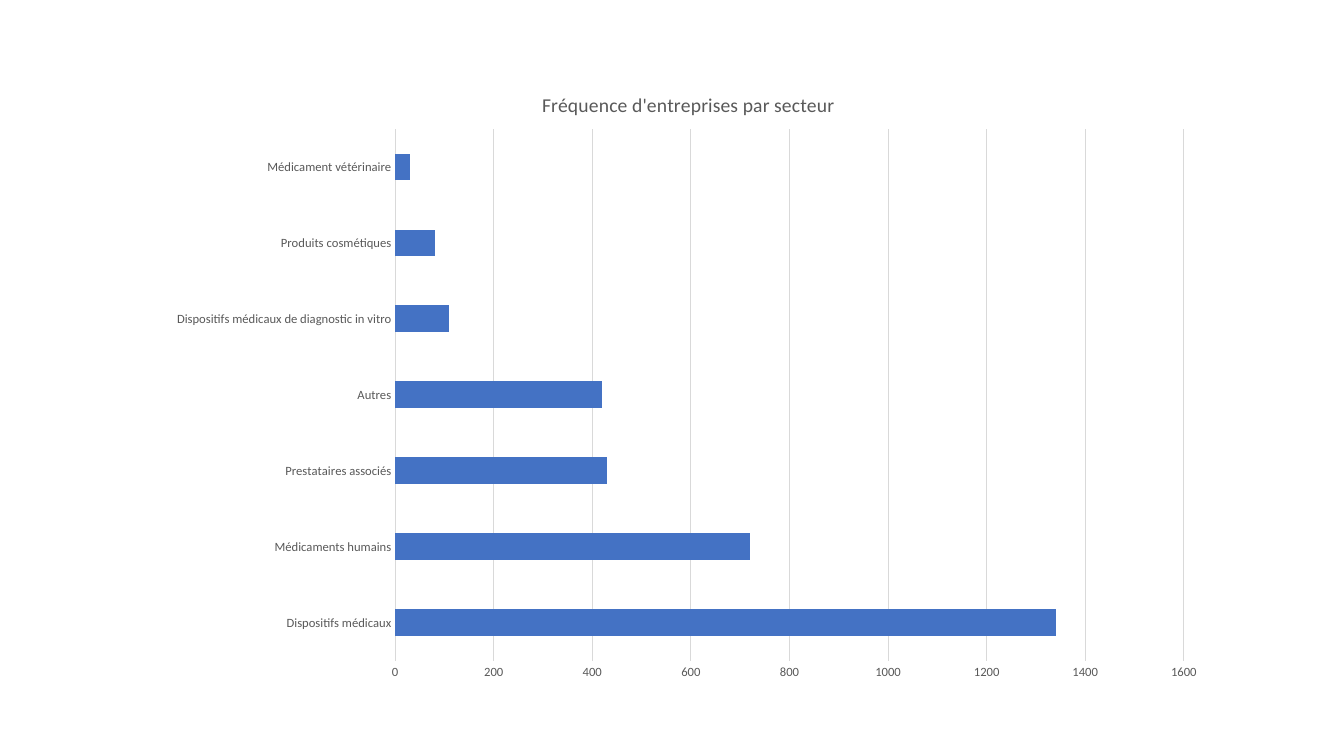
from lxml.etree import SubElement
from pptx import Presentation
from pptx.chart.data import CategoryChartData
from pptx.dml.color import RGBColor
from pptx.enum.chart import XL_CHART_TYPE, XL_TICK_MARK
from pptx.oxml.ns import qn
from pptx.util import Cm, Pt

# Content
TITLE = "Fréquence d'entreprises par secteur"
SERIES_NAME = "Series 1"
SECTORS = [
    ("Dispositifs médicaux", 1340),
    ("Médicaments humains", 720),
    ("Prestataires associés", 430),
    ("Autres", 420),
    ("Dispositifs médicaux de diagnostic in vitro", 110),
    ("Produits cosmétiques", 80),
    ("Médicament vétérinaire", 30),
]
FONT = "Calibri"
BLUE = RGBColor(0x44, 0x72, 0xC4)
GREY = RGBColor(0x59, 0x59, 0x59)
PALE = RGBColor(0xD9, 0xD9, 0xD9)

# Fractions of the chart frame
TITLE_PLACE = {"x": 0.36, "y": 0.04}
PLOT_PLACE = {"x": 0.225, "y": 0.106, "w": 0.743, "h": 0.844}


def style_font(font, size, color=GREY):
    font.name = FONT
    font.size = Pt(size)
    font.bold = False
    font.color.rgb = color


def add_title(chart, text, size, color):
    frame = chart.chart_title.text_frame
    span = frame.paragraphs[0].add_run()
    span.text = text
    style_font(span.font, size, color)
    chart.chart_title.include_in_layout = False


def style_line(line, color=PALE):
    line.color.rgb = color
    line.width = Pt(0.75)


def place(element, fractions, inner=False):
    layout = element.find(qn("c:layout"))
    if layout is None:
        layout = SubElement(element, qn("c:layout"))
        after_text = element.find(qn("c:tx"))
        element.insert(0 if after_text is None else 1, layout)
    manual = SubElement(layout, qn("c:manualLayout"))
    if inner:
        SubElement(manual, qn("c:layoutTarget")).set("val", "inner")
    for side in ("x", "y"):
        SubElement(manual, qn(f"c:{side}Mode")).set("val", "edge")
    for side, value in fractions.items():
        SubElement(manual, qn(f"c:{side}")).set("val", str(value))


deck = Presentation()
deck.slide_width, deck.slide_height = Cm(33.87), Cm(19.05)
page = deck.slides.add_slide(deck.slide_layouts[6])

# Bar chart
data = CategoryChartData()
data.categories = [sector for sector, _ in SECTORS]
data.add_series(SERIES_NAME, [count for _, count in SECTORS])
chart = page.shapes.add_chart(
    XL_CHART_TYPE.BAR_CLUSTERED, Cm(3.94), Cm(1.57), Cm(26.75), Cm(15.88), data
).chart
style_font(chart.font, 10)
chart.has_legend = False
add_title(chart, TITLE, size=14, color=GREY)

plot = chart.plots[0]
plot.gap_width = 182
plot.vary_by_categories = False
bars = plot.series[0].format.fill
bars.solid()
bars.fore_color.rgb = BLUE

# Axes
for axis in (chart.category_axis, chart.value_axis):
    axis.major_tick_mark = axis.minor_tick_mark = XL_TICK_MARK.NONE
    style_font(axis.tick_labels.font, 9)
style_line(chart.category_axis.format.line)
values = chart.value_axis
values.minimum_scale, values.maximum_scale, values.major_unit = 0, 1600, 200
values.format.line.fill.background()
values.has_major_gridlines = True
style_line(values.major_gridlines.format.line)

# Title and plot positions
place(chart.chart_title.format and chart.element.find(".//" + qn("c:title")), TITLE_PLACE)
place(chart.element.find(".//" + qn("c:plotArea")), PLOT_PLACE, inner=True)

deck.save("out.pptx")
